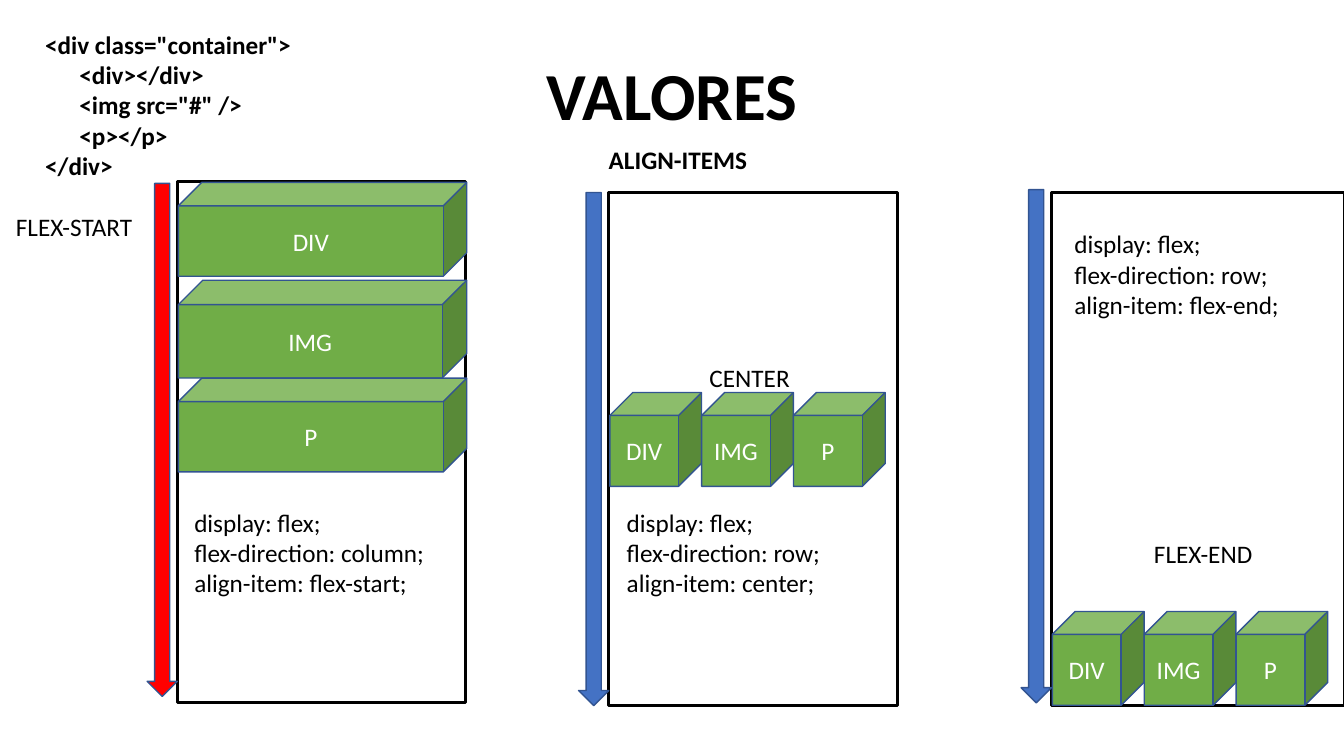
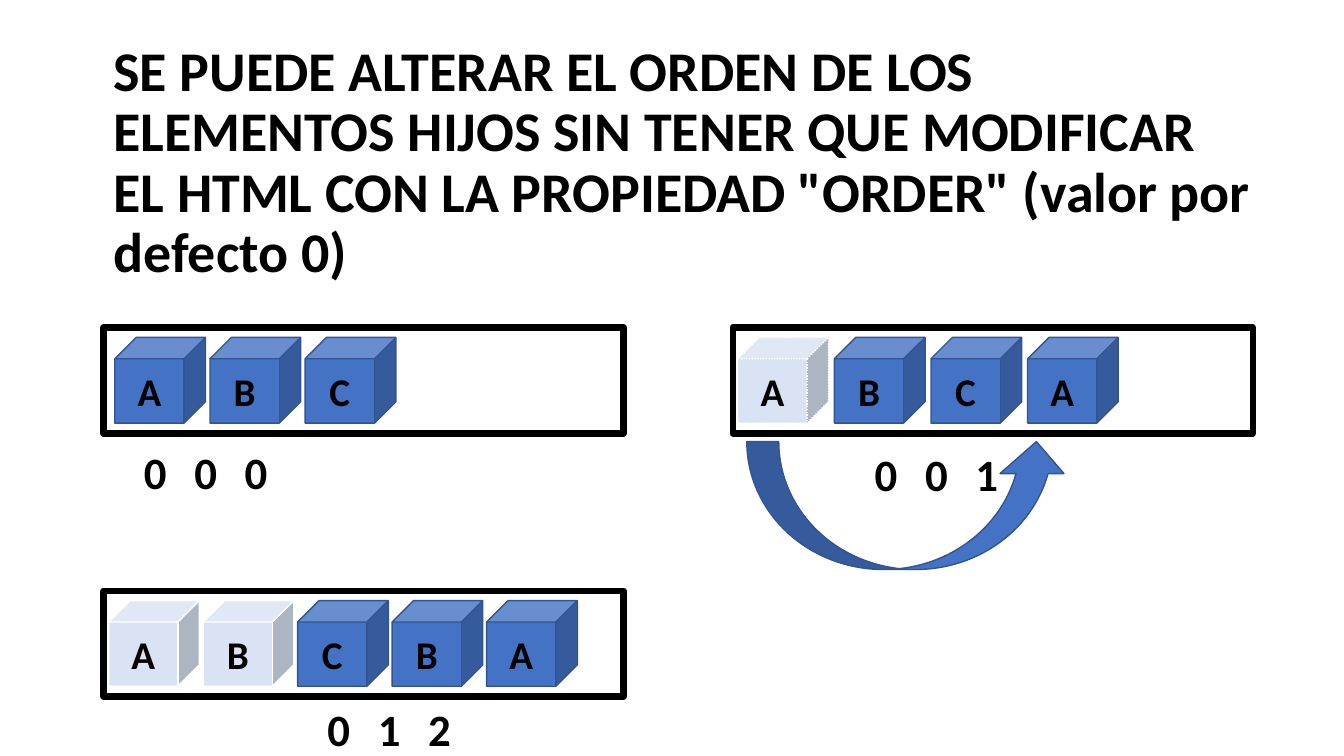
from pptx import Presentation
from pptx.dml.color import RGBColor
from pptx.enum.dml import MSO_LINE
from pptx.enum.shapes import MSO_SHAPE as SHAPE
from pptx.enum.text import MSO_ANCHOR as ANCHOR, MSO_AUTO_SIZE as FIT, PP_ALIGN as ALIGN
from pptx.oxml.ns import qn
from pptx.util import Pt
from lxml import etree

BLACK = RGBColor(0x00, 0x00, 0x00)
WHITE = RGBColor(0xFF, 0xFF, 0xFF)
RED = RGBColor(0xFF, 0x00, 0x00)
BLUE = RGBColor(0x44, 0x72, 0xC4)
PALE_BLUE = RGBColor(0xDA, 0xE3, 0xF3)
DARK_BLUE = RGBColor(0x32, 0x54, 0x91)
GREEN = RGBColor(0x70, 0xAD, 0x47)

BODY = {"name": "Calibri", "size": Pt(18), "bold": False}
STRONG = BODY | {"bold": True}
LETTER = STRONG | {"size": Pt(28)}
DIGIT = STRONG | {"size": Pt(32)}

CUBE_NAMES = ("DIV", "IMG", "P")


def write(frame, lines, style, color=BLACK, align=None):
    """Fill a text frame, one paragraph per line."""
    for number, line in enumerate(lines):
        paragraph = frame.paragraphs[0] if number == 0 else frame.add_paragraph()
        paragraph.alignment = align
        run = paragraph.add_run()
        run.text = line
        for key, value in style.items():
            setattr(run.font, key, value)
        run.font.color.rgb = color


def add_text(slide, box, lines, style):
    frame = slide.shapes.add_textbox(*map(Pt, box)).text_frame
    frame.word_wrap = True
    frame.auto_size = FIT.SHAPE_TO_FIT_TEXT
    write(frame, lines, style)
    return frame


def add_title(slide, box, title, size, align):
    frame = slide.shapes.add_textbox(*map(Pt, box)).text_frame
    frame.word_wrap = True
    frame.vertical_anchor = ANCHOR.MIDDLE
    write(frame, [title], STRONG | {"size": Pt(size)}, align=align)
    frame.paragraphs[0].line_spacing = 0.9


def add_figure(shapes, kind, box, fill, line=DARK_BLUE, width=1):
    figure = shapes.add_shape(kind, *map(Pt, box))
    figure.shadow.inherit = False
    if fill is None:
        figure.fill.background()
    else:
        figure.fill.solid()
        figure.fill.fore_color.rgb = fill
    figure.line.color.rgb = line
    figure.line.width = Pt(width)
    return figure


def add_cube(shapes, box, label, style, color, fill, line=DARK_BLUE):
    cube = add_figure(shapes, SHAPE.CUBE, box, fill, line)
    cube.text_frame.vertical_anchor = ANCHOR.MIDDLE
    write(cube.text_frame, [label], style, color, ALIGN.CENTER)
    return cube


def indent(paragraph, left, tabs=()):
    properties = paragraph._p.get_or_add_pPr()
    properties.set("marL", str(Pt(left)))
    properties.set("indent", "0")
    if tabs:
        stops = etree.SubElement(properties, qn("a:tabLst"))
        for tab in tabs:
            etree.SubElement(stops, qn("a:tab"), pos=str(Pt(tab)), algn="l")


# Slide 1: one container with its cross axis, cubes, value name and CSS
def align_panel(slide, box, axis_color, axis_shift, cubes, label, label_at, css, css_at):
    left, top, width, height = box
    add_figure(slide.shapes, SHAPE.RECTANGLE, box, WHITE, BLACK, 2.25)
    add_figure(slide.shapes, SHAPE.DOWN_ARROW,
               (left - 21.6, top + axis_shift, 21.6, 366.5), axis_color)
    group = slide.shapes.add_group_shape()
    for name, (x, y, w, h) in zip(CUBE_NAMES, cubes):
        add_cube(group.shapes, (left + x, top + y, w, h), name, BODY, WHITE, GREEN)
    add_text(slide, (left + label_at[0], top + label_at[1], 116.6, 28.8), [label], BODY)
    add_text(slide, (left + css_at[0], top + css_at[1], 216, 72.7), css, BODY)


def cube_row(y):
    return [(0.7 + 65.6 * i, y, 65.5, 67) for i in range(3)]


def css_rules(direction, alignment):
    return ["display: flex;", f"flex-direction: {direction};", f"align-item: {alignment};"]


def align_items_slide(slide):
    # Containers
    stacked = [(0.7, 0.7 + 69.9 * i, 206, h) for i, h in enumerate((67, 69.8, 67))]
    align_panel(slide, (126.7, 129.6, 206, 372), RED, 1.4, stacked,
                "FLEX-START", (-122.4, 18), css_rules("column", "flex-start"), (5, 229))
    align_panel(slide, (434.9, 137.5, 206, 366.5), BLUE, 0, cube_row(142.9),
                "CENTER", (64.8, 118), css_rules("row", "center"), (5.7, 221))
    align_panel(slide, (751, 137.5, 209.5, 366.5), BLUE, -2, cube_row(299.3),
                "FLEX-END", (66.2, 243.4), css_rules("row", "flex-end"), (9.3, 22.3))
    # Headings and markup
    add_title(slide, (66, 28.8, 828, 84), "VALORES", 48, ALIGN.CENTER)
    add_text(slide, (427.7, 99.4, 116.6, 28.8), ["ALIGN-ITEMS"], STRONG)
    markup = add_text(slide, (25.2, 17.3, 249, 116.6),
                      ['<div class="container">', "<div></div>", '<img src="#" />',
                       "<p></p>", "</div>"], STRONG)
    for child in markup.paragraphs[1:-1]:
        indent(child, 24.5)


# Slide 2: one container whose first cubes may be ghosts of moved ones
def order_row(slide, left, top, letters, start, pitch, orders, orders_at, ghosts=0, dash=None):
    add_figure(slide.shapes, SHAPE.RECTANGLE, (left, top, 371.5, 75.6), None, BLACK, 4.5)
    for i, letter in enumerate(letters):
        fill, line = (PALE_BLUE, WHITE) if i < ghosts else (BLUE, DARK_BLUE)
        cube = add_cube(slide.shapes, (left + start + pitch * i, top + 7, 64.8, 61.2),
                        letter, LETTER, BLACK, fill, line)
        if i < ghosts and dash:
            cube.line.dash_style = dash
    # Order values under the cubes, on even tab stops
    x, y = orders_at
    values = add_text(slide, (left + x, top + y, 326, 46), ["\t".join(orders)], DIGIT)
    indent(values.paragraphs[0], 29.5, [29.5 + 67 * i for i in range(1, len(orders))])


def move_arrow(slide, box):
    arrow = add_figure(slide.shapes, SHAPE.CURVED_DOWN_ARROW, box, BLUE)
    arrow.rotation = 180
    arrow._element.spPr.get_or_add_xfrm().set("flipH", "1")


def order_slide(slide):
    left, right, upper, lower = 74, 523.4, 234, 422
    move_arrow(slide, (right + 10, upper + 81.4, 229.7, 91.4))
    add_title(slide, (left, 17.3, 828, 199.4),
              "SE PUEDE ALTERAR EL ORDEN DE LOS ELEMENTOS HIJOS SIN TENER QUE MODIFICAR "
              'EL HTML CON LA PROPIEDAD "ORDER" (valor por defecto 0)', 40, ALIGN.LEFT)
    order_row(slide, left, upper, "ABC", 8, 68, "000", (-7.8, 79.9))
    order_row(slide, right, upper, "ABCA", 3.6, 69, "001", (64.8, 81.4),
              ghosts=1, dash=MSO_LINE.ROUND_DOT)
    order_row(slide, left, lower, "ABCBA", 3.6, 67.5, "012", (123.3, 75.6), ghosts=2)


deck = Presentation()
deck.slide_width, deck.slide_height = Pt(960), Pt(540)
for build in (align_items_slide, order_slide):
    build(deck.slides.add_slide(deck.slide_layouts[6]))
deck.save("out.pptx")
